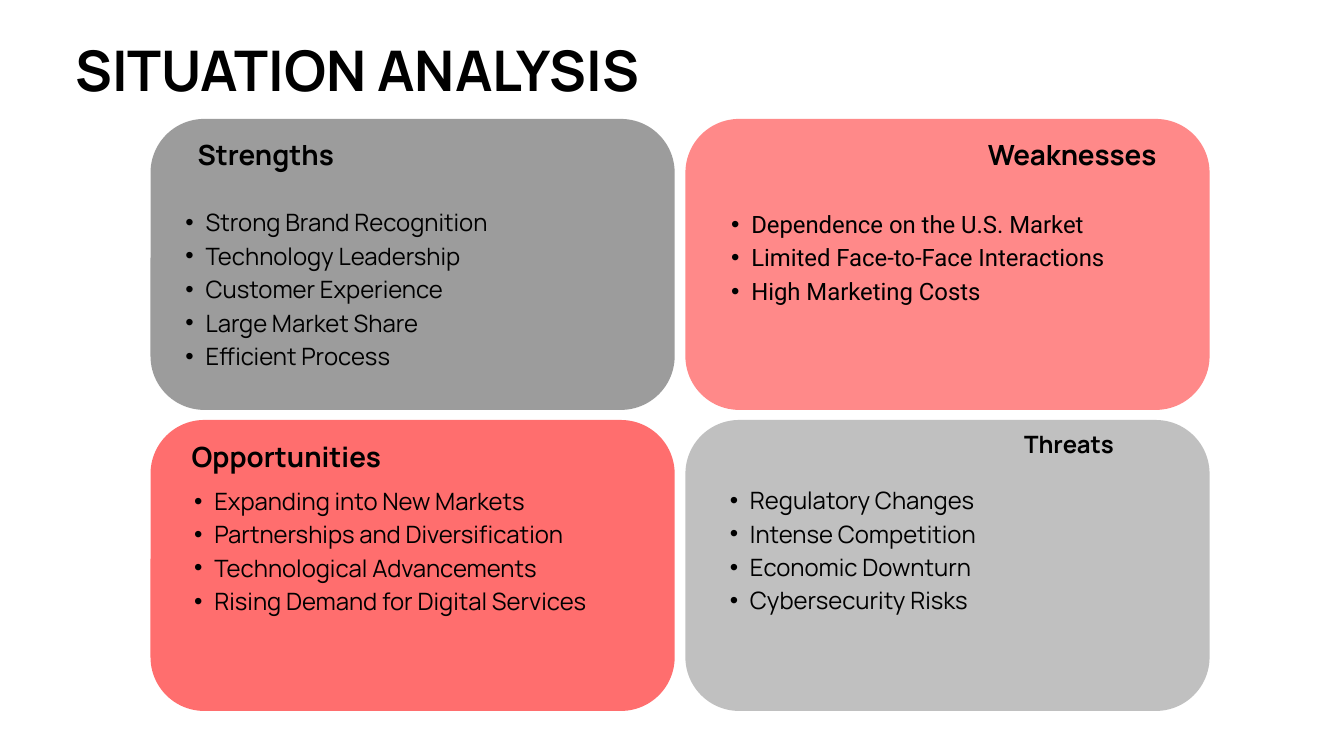
from pptx import Presentation
from pptx.dml.color import RGBColor
from pptx.enum.shapes import MSO_SHAPE as Shape
from pptx.enum.text import PP_ALIGN as Align
from pptx.oxml.xmlchemy import OxmlElement as Element
from pptx.util import Inches, Pt

HUES = {"ink": "000000", "gray": "737373", "coral": "FF5757",
        "red": "FF3131", "silver": "A6A6A6"}

TITLE = "SITUATION ANALYSIS"

# Row by row; boxes are left, top, width, height in inches
PANELS = [
    {"hue": "gray", "head": "Strengths", "head_box": (2.94, 1.97, 2.97, 0.57),
     "head_fmt": {"size": 29.8, "lead": 41.8},
     "list_box": (2.46, 3.02, 7.36, 2.46), "list_fmt": {"lead": 35.9},
     "items": ["Strong Brand Recognition", "Technology Leadership",
               "Customer Experience", "Large Market Share",
               "Efficient Process"]},
    {"hue": "coral", "head": "Weaknesses", "head_box": (14.24, 1.97, 2.97, 0.57),
     "head_fmt": {"size": 29.8, "lead": 41.7, "align": Align.RIGHT},
     "list_box": (10.58, 3.05, 6.63, 1.94), "list_fmt": {"font": "Roboto"},
     "items": ["Dependence on the U.S. Market",
               "Limited Face-to-Face Interactions", "High Marketing Costs"]},
    {"hue": "red", "head": "Opportunities", "head_box": (2.59, 6.46, 3.08, 0.57),
     "head_fmt": {"size": 29.8, "lead": 41.7, "align": Align.RIGHT},
     "list_box": (2.59, 7.17, 6.64, 2.46), "list_fmt": {},
     "items": ["Expanding into New Markets",
               "Partnerships and Diversification",
               "Technological Advancements",
               "Rising Demand for Digital Services"]},
    {"hue": "silver", "head": "Threats", "head_box": (15.24, 6.32, 2.97, 0.5),
     "head_fmt": {},
     "list_box": (10.56, 7.16, 7.08, 1.97), "list_fmt": {},
     "items": ["Regulatory Changes", "Intense Competition",
               "Economic Downturn", "Cybersecurity Risks"]},
]

# Panel grid
LEFT, TOP = 2.24, 1.77
WIDE, HIGH = 7.8, 4.33
GAP_X, GAP_Y = 0.16, 0.15
ROUND = 0.8

deck = Presentation()
deck.slide_width, deck.slide_height = Inches(20), Inches(11.25)
slide = deck.slides.add_slide(deck.slide_layouts[6])


def add_bullet(para):
    props = para._p.get_or_add_pPr()
    props.set("marL", str(Inches(0.6)))
    props.set("indent", str(Inches(-0.3)))
    for tag, key, val in (("a:buFont", "typeface", "Arial"),
                          ("a:buChar", "char", "•")):
        mark = Element(tag)
        mark.set(key, val)
        props.append(mark)


def add_text(lines, box, size=25.6, lead=35.8, font="Manrope", bold=False,
             align=Align.LEFT, bullet=False):
    frame = slide.shapes.add_textbox(*map(Inches, box)).text_frame
    frame.word_wrap = True
    frame.margin_left = frame.margin_right = 0
    frame.margin_top = frame.margin_bottom = 0
    frame.text = "\n".join(lines)
    for para in frame.paragraphs:
        para.alignment = align
        para.line_spacing = Pt(lead)
        if bullet:
            add_bullet(para)
        for run in para.runs:
            run.font.name = font
            run.font.size = Pt(size)
            run.font.bold = bold
            run.font.color.rgb = RGBColor.from_string(HUES["ink"])


def add_panel(row, col, hue):
    x, y = LEFT + col * (WIDE + GAP_X), TOP + row * (HIGH + GAP_Y)
    panel = slide.shapes.add_shape(Shape.ROUNDED_RECTANGLE,
                                   *map(Inches, (x, y, WIDE, HIGH)))
    panel.adjustments[0] = ROUND / HIGH
    panel.shadow.inherit = False
    panel.line.fill.background()
    panel.fill.solid()
    panel.fill.fore_color.rgb = RGBColor.from_string(HUES[hue])
    alpha = Element("a:alpha")
    alpha.set("val", "70000")
    panel.fill._xPr.find(".//{*}srgbClr").append(alpha)


# Panels with their headings and lists
for i, part in enumerate(PANELS):
    add_panel(*divmod(i, 2), part["hue"])
    add_text([part["head"]], part["head_box"], bold=True, **part["head_fmt"])
    add_text(part["items"], part["list_box"], bullet=True, **part["list_fmt"])

# Title
add_text([TITLE], (1.12, 0.61, 9.74, 1.01), size=60, lead=66, bold=True)

deck.save("out.pptx")
